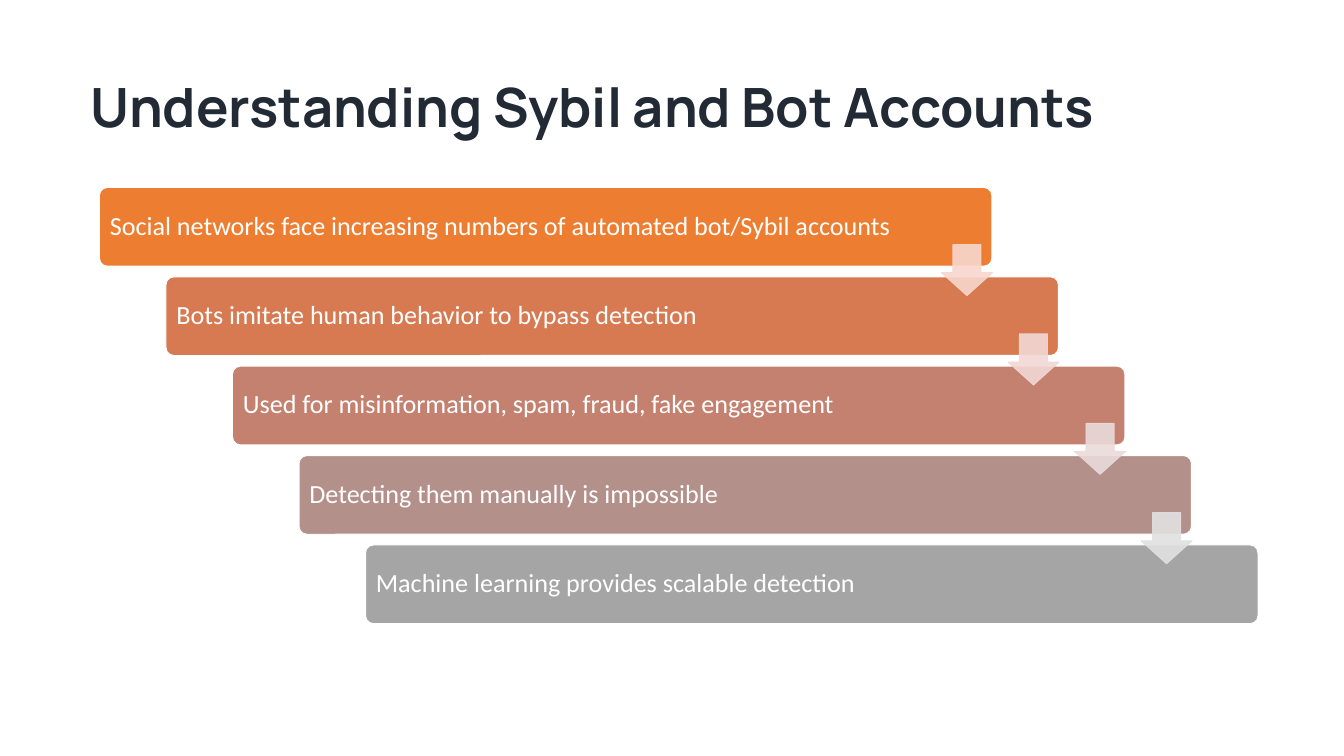
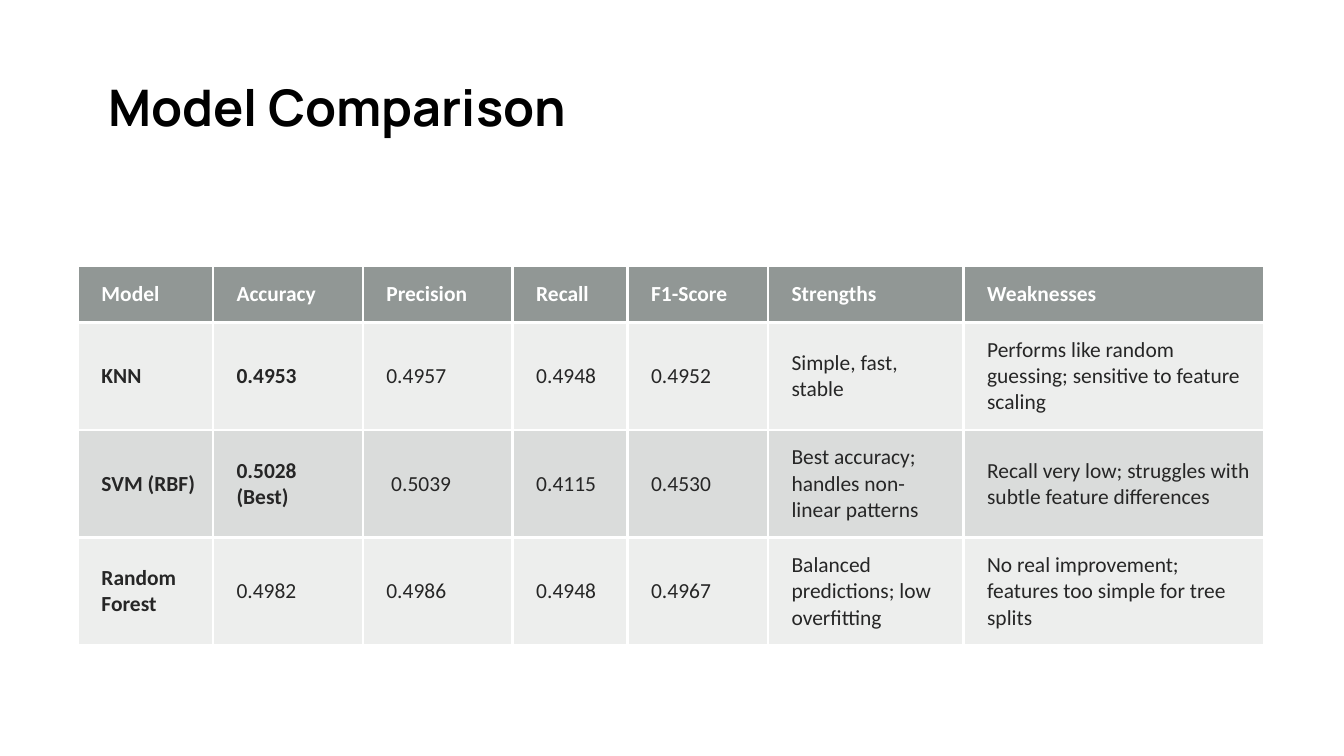
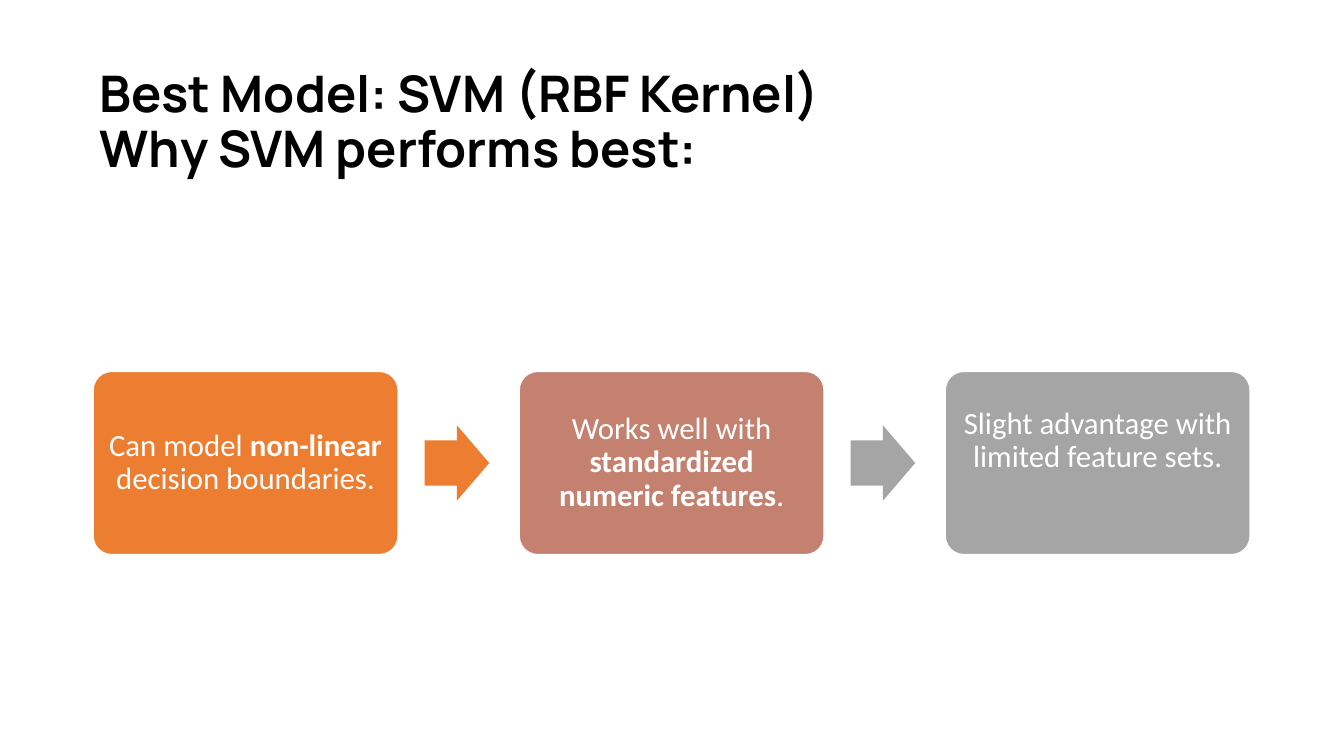
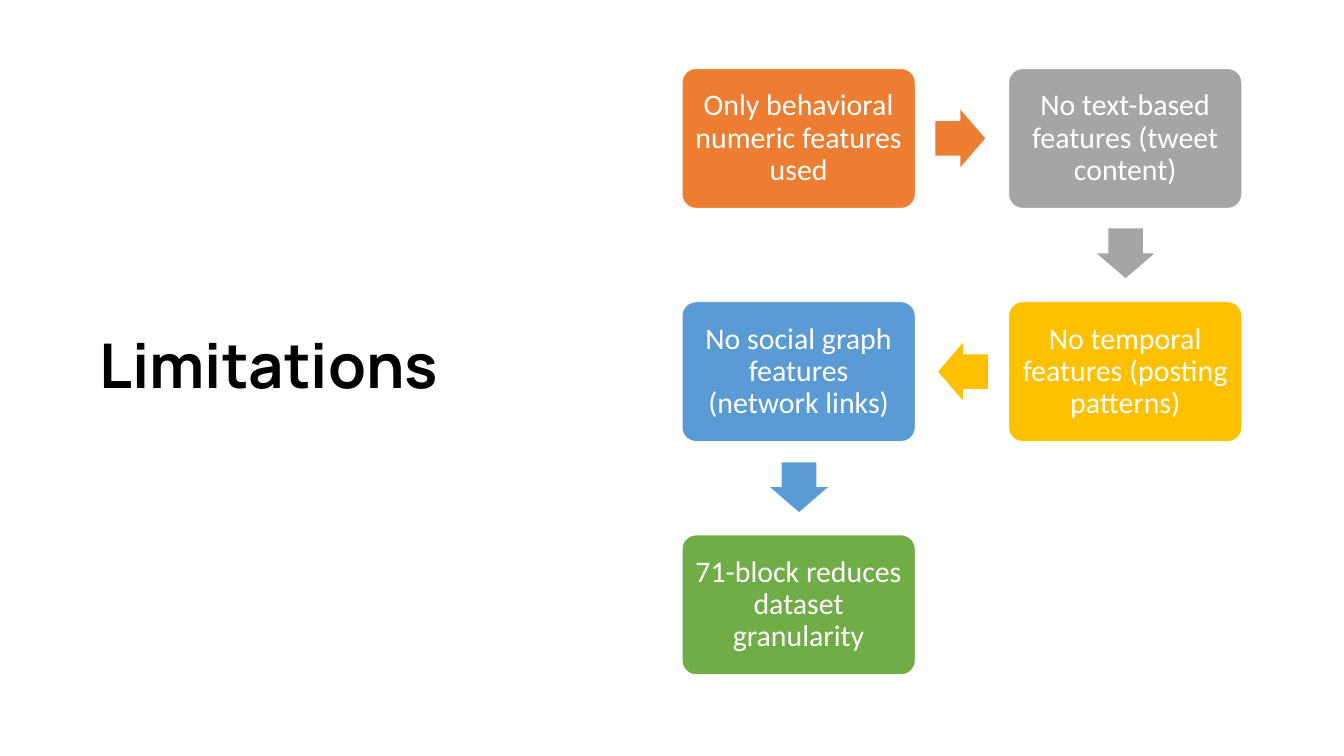
from math import atan2, cos, degrees, sin
from typing import NamedTuple

from lxml import etree
from pptx import Presentation
from pptx import dml, slide as sl, table as tb, util as u
from pptx.dml import color as co
from pptx.enum import shapes, text
from pptx.oxml import ns
from pptx.shapes import autoshape as au
from pptx.text import text as tx

PX = 9144
HUES = {
    "white": "FFFFFF", "black": "000000", "navy": "222A35", "ink": "262626",
    "orange": "ED7D31", "rust": "D87A51", "rose": "C48170", "mauve": "B4908B",
    "gray": "A5A5A5", "gold": "FFC000", "blue": "5B9BD5", "green": "70AD47",
    "peach": "F8D7CE", "blush": "F1D8D4", "shell": "E9DBDA", "mist": "E1E1E1",
    "slate": "636B68", "stone": "878E8B",
}
HEAD, BODY = "Manrope", "Calibri"
KINDS = shapes.MSO_SHAPE
LEFT, CENTER = text.PP_ALIGN.LEFT, text.PP_ALIGN.CENTER
MIDDLE = text.MSO_ANCHOR.MIDDLE


class Box(NamedTuple):
    x: int
    y: int
    w: int
    h: int


class Type(NamedTuple):
    face: str
    size: int
    hue: str
    bold: bool = False


class Card(NamedTuple):
    words: str
    hue: str
    box: Box
    lift: int = 0


class Look(NamedTuple):
    size: int
    pad: int
    align: text.PP_ALIGN


class Arrow(NamedTuple):
    w: int
    h: int


def px(n: float) -> int:
    return u.Emu(round(n * PX))


def rgb(hue: str) -> co.RGBColor:
    return co.RGBColor.from_string(HUES[hue])


def add_runs(para: tx._Paragraph, words: str, kind: Type) -> None:
    for i, part in enumerate(words.split("*")):
        if part:
            run = para.add_run()
            run.text = part
            run.font.name = kind.face
            run.font.size = u.Pt(kind.size)
            run.font.bold = kind.bold or i % 2 == 1
            run.font.color.rgb = rgb(kind.hue)


def fade(node: etree._Element, share: int) -> None:
    for tint in node.iter(ns.qn("a:srgbClr")):
        etree.SubElement(tint, ns.qn("a:alpha"), val=str(share * 1000))


def add_title(page: sl.Slide, lines: list[str], box: Box, size: int,
              hue: str = "black", lift: int = 0) -> None:
    shape = page.shapes.title
    shape.left, shape.top, shape.width, shape.height = map(px, box)
    frame = shape.text_frame
    frame.auto_size = text.MSO_AUTO_SIZE.NONE
    frame.word_wrap = True
    frame.vertical_anchor = MIDDLE
    frame.margin_left = frame.margin_right = px(10)
    frame.margin_top, frame.margin_bottom = px(5), px(5 + lift)
    for i, line in enumerate(lines):
        para = frame.add_paragraph() if i else frame.paragraphs[0]
        para.alignment = LEFT
        para.line_spacing = 0.9
        para.space_before = u.Pt(0)
        add_runs(para, line, Type(HEAD, size, hue, True))


def add_shape(page: sl.Slide, kind: KINDS, box: Box, hue: str,
              rim: bool, *bends: float) -> au.Shape:
    shape = page.shapes.add_shape(kind, *map(px, box))
    shape.shadow.inherit = False
    for i, bend in enumerate(bends):
        shape.adjustments[i] = bend
    shape.fill.solid()
    shape.fill.fore_color.rgb = rgb(hue)
    if rim:
        shape.line.color.rgb = rgb("white")
        shape.line.width = u.Pt(1)
    else:
        shape.line.fill.background()
    return shape


def add_card(page: sl.Slide, card: Card, look: Look) -> None:
    shape = add_shape(page, KINDS.ROUNDED_RECTANGLE, card.box, card.hue, True, 0.1)
    frame = shape.text_frame
    frame.word_wrap = True
    frame.vertical_anchor = MIDDLE
    frame.margin_left = frame.margin_right = frame.margin_top = px(look.pad)
    frame.margin_bottom = px(look.pad + card.lift)
    para = frame.paragraphs[0]
    para.alignment = look.align
    para.line_spacing = 0.9
    add_runs(para, card.words, Type(BODY, look.size, "white"))


def add_link(page: sl.Slide, start: Box, end: Box, arrow: Arrow, hue: str) -> None:
    angle = atan2(end.y - start.y, end.x - start.x)
    mid_x = (start.x + end.x + start.w) / 2 - 2 * cos(angle)
    mid_y = (start.y + end.y + start.h) / 2 - 2 * sin(angle)
    box = Box(round(mid_x - arrow.w / 2), round(mid_y - arrow.h / 2), *arrow)
    shape = add_shape(page, KINDS.RIGHT_ARROW, box, hue, False, 0.6, 0.5)
    shape.rotation = degrees(angle)


def add_flow(page: sl.Slide, cards: list[Card], look: Look, arrow: Arrow,
             hues: list[str]) -> None:
    for card in cards:
        add_card(page, card, look)
    for start, end, hue in zip(cards, cards[1:], hues):
        add_link(page, start.box, end.box, arrow, hue)


def fill_cell(cell: tb._Cell, words: str, kind: Type, hue: str, share: int) -> None:
    cell.vertical_anchor = MIDDLE
    cell.margin_left = px(35)
    cell.margin_right = cell.margin_top = cell.margin_bottom = px(21)
    add_runs(cell.text_frame.paragraphs[0], words, kind)
    cell.fill.solid()
    cell.fill.fore_color.rgb = rgb(hue)
    props = cell._tc.get_or_add_tcPr()
    fade(props, share)
    for i, side in enumerate("LRTB"):
        edge = etree.Element(ns.qn(f"a:ln{side}"), w=str(u.Pt(3)))
        solid = etree.SubElement(edge, ns.qn("a:solidFill"))
        etree.SubElement(solid, ns.qn("a:srgbClr"), val=HUES["white"])
        props.insert(i, edge)


def draw_steps(page: sl.Slide) -> None:
    add_title(page, ["Understanding Sybil and Bot Accounts"],
              Box(125, 120, 1725, 217), 58, "navy", 130)
    steps = [
        ("Social networks face increasing numbers of automated bot/Sybil accounts", "orange"),
        ("Bots imitate human behavior to bypass detection", "rust"),
        ("Used for misinformation, spam, fraud, fake engagement", "rose"),
        ("Detecting them manually is impossible", "mauve"),
        ("Machine learning provides scalable detection", "gray"),
    ]
    for i, (words, hue) in enumerate(steps):
        box = Box(148 + 99 * i, 279 + 133 * i, 1328, 117)
        add_card(page, Card(words, hue, box), Look(28, 12, LEFT))
    for i, hue in enumerate(["peach", "blush", "shell", "mist"]):
        box = Box(1401 + 99 * i, 364 + 133 * i, 76, 76)
        shape = add_shape(page, KINDS.DOWN_ARROW, box, hue, True, 0.55, 0.45)
        shape.line.color.rgb = rgb(hue)
        fade(shape._element.spPr, 90)


def draw_scores(page: sl.Slide) -> None:
    add_title(page, ["Model Comparison"], Box(151, 74, 1565, 179), 54)
    rows = [
        ["Model", "Accuracy", "Precision", "Recall", "F1-Score", "Strengths", "Weaknesses"],
        ["*KNN*", "*0.4953*", "0.4957", "0.4948", "0.4952", "Simple, fast, stable",
         "Performs like random guessing; sensitive to feature scaling"],
        ["*SVM (RBF)*", "*0.5028 (Best)*", " 0.5039", "0.4115", "0.4530",
         "Best accuracy; handles non-linear patterns",
         "Recall very low; struggles with subtle feature differences"],
        ["*Random Forest*", "0.4982", "0.4986", "0.4948", "0.4967",
         "Balanced predictions; low overfitting",
         "No real improvement; features too simple for tree splits"],
    ]
    widths = [201, 223, 223, 171, 209, 291, 448]
    heights = [85, 160, 160, 160]
    box = Box(116, 395, sum(widths), sum(heights))
    grid = page.shapes.add_table(len(rows), len(widths), *map(px, box)).table
    grid.horz_banding = False
    for col, width in zip(grid.columns, widths):
        col.width = px(width)
    for r, (words, height) in enumerate(zip(rows, heights)):
        grid.rows[r].height = px(height)
        top = r == 0
        kind = Type(BODY, 23, "white" if top else "ink", top)
        hue = "slate" if top else "stone"
        share = 70 if top else 15 if r % 2 else 30
        for c, word in enumerate(words):
            fill_cell(grid.cell(r, c), word, kind, hue, share)


def draw_best(page: sl.Slide) -> None:
    add_title(page, ["Best Model: SVM (RBF Kernel)", "Why SVM performs best:"],
              Box(138, 120, 1725, 217), 54, lift=89)
    points = [
        ("Can model *non-linear* decision boundaries.", "orange", 0),
        ("Works well with *standardized numeric features*.", "rose", 0),
        ("Slight advantage with limited feature sets.", "gray", 66),
    ]
    cards = [Card(words, hue, Box(139 + 634 * i, 553, 453, 272), lift)
             for i, (words, hue, lift) in enumerate(points)]
    add_flow(page, cards, Look(33, 14, CENTER), Arrow(96, 112), ["orange", "gray"])


def draw_limits(page: sl.Slide) -> None:
    add_title(page, ["Limitations"], Box(138, 91, 798, 914), 66)
    limits = [
        ("Only behavioral numeric features used", "orange", 0, 0),
        ("No text-based features (tweet content)", "gray", 1, 0),
        ("No temporal features (posting patterns)", "gold", 1, 1),
        ("No social graph features (network links)", "blue", 0, 1),
        ("71-block reduces dataset granularity", "green", 0, 2),
    ]
    cards = [Card(words, hue, Box(1015 + 486 * c, 102 + 347 * r, 347, 208))
             for words, hue, c, r in limits]
    add_flow(page, cards, Look(32, 13, CENTER), Arrow(74, 86),
             [card.hue for card in cards])


def main() -> None:
    deck = Presentation()
    deck.slide_width, deck.slide_height = px(2000), px(1125)
    for draw in (draw_steps, draw_scores, draw_best, draw_limits):
        draw(deck.slides.add_slide(deck.slide_layouts[5]))
    deck.save("out.pptx")


if __name__ == "__main__":
    main()
